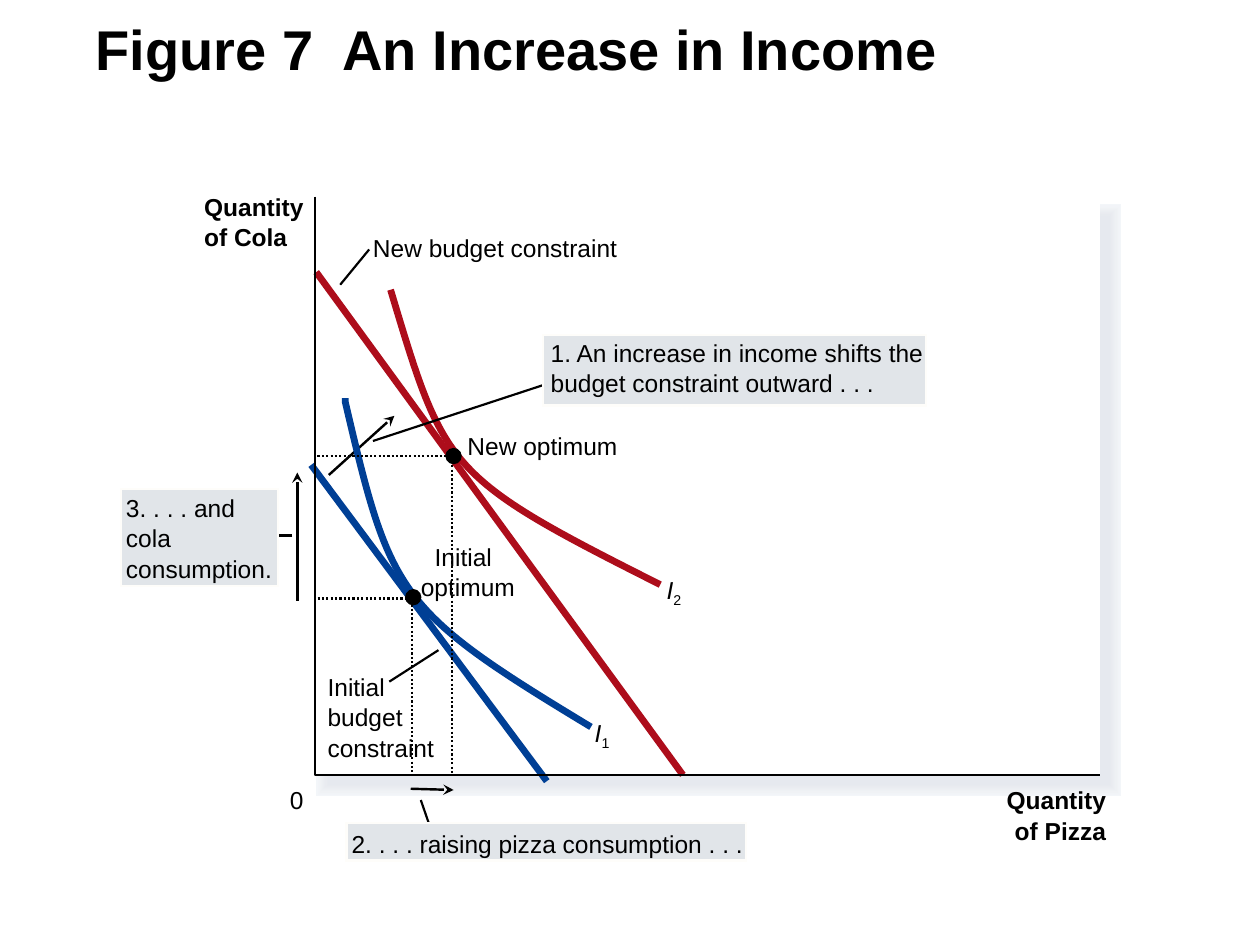
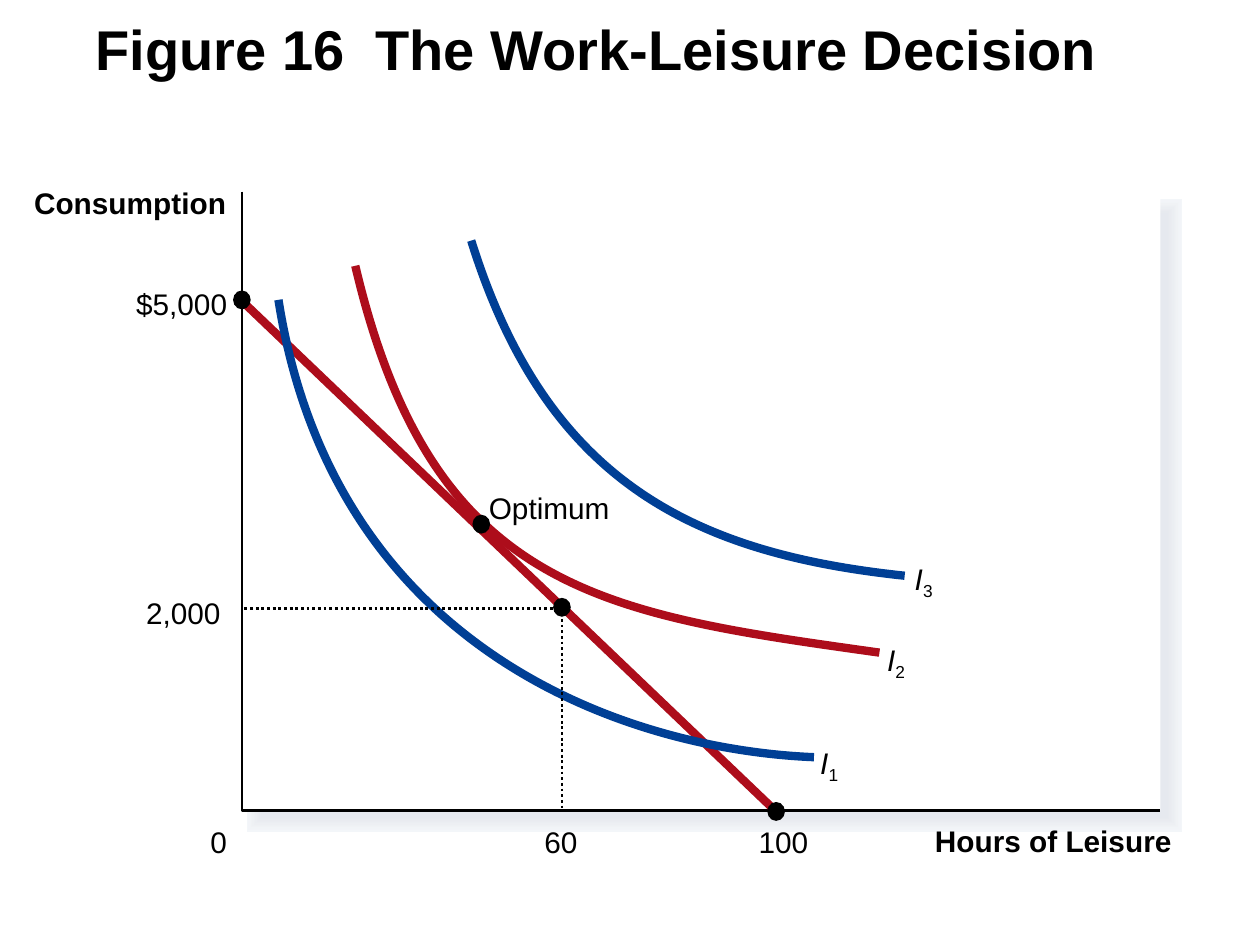
from lxml import etree
from pptx import Presentation
from pptx.dml.color import RGBColor
from pptx.enum.dml import MSO_LINE
from pptx.enum.shapes import MSO_CONNECTOR, MSO_SHAPE
from pptx.enum.text import MSO_ANCHOR, MSO_AUTO_SIZE, PP_ALIGN
from pptx.oxml.ns import qn
from pptx.util import Cm, Pt

RECTANGLE, OVAL = MSO_SHAPE.RECTANGLE, MSO_SHAPE.OVAL
STRAIGHT, DOTTED = MSO_CONNECTOR.STRAIGHT, MSO_LINE.ROUND_DOT
LEFT, RIGHT = PP_ALIGN.LEFT, PP_ALIGN.RIGHT

COLORS = {
    "ink": "000000", "paper": "FFFFFF", "blue": "003F95", "red": "AD0D1B",
    "callout": "E1E5E9", "callout edge": "FEFDFA",
}
GLOW = ["F3F6F9", "F2F4F8", "F1F4F7", "F0F2F5", "EEF1F4", "EDEFF3",
        "EBEEF2", "EAECF1", "E9EBF0", "E7EAEF", "E6E9EF"]
FONT = "Arial"
TITLE_BOX = (0.66, 0.06, 9, 0.75)
TITLE_FORMAT = {"name": FONT, "size": Pt(32), "bold": True}
CM_PER_INCH = 2.54
TEXT_SLACK = 0.08  # room beyond the text width, so that no line breaks

# Content: positions are in inches, parts are listed from back to front.
# text: left, top, width, lines, alignment, bold    callout: box, then text
# line and arrow: start, end                        curve: colour, Bezier points
FIGURES = [
    {
        "title": "Figure 7  An Increase in Income",
        "text size": 14, "thin": 1.25, "thick": 3.88, "dot": (0.13, 0.13),
        "plot": (2.5, 1.56, 6.23, 4.59),
        "glow": (2.61, 1.72, 6.19, 4.5), "glow width": 14.12,
        "parts": [
            ("budget", "blue", (2.47, 3.69), (4.34, 6.2)),
            ("budget", "red", (2.51, 2.16), (5.42, 6.15)),
            ("arrow", (2.36, 4.77), (2.36, 3.75)),
            ("arrow", (3.26, 6.26), (3.6, 6.27)),
            ("arrow", (2.61, 3.77), (3.13, 3.3)),
            ("text", 7.99, 6.23, 0.79, ["Quantity", "of Pizza"], RIGHT, True),
            ("text", 1.62, 1.52, 0.79, ["Quantity", "of Cola"], LEFT, True),
            ("text", 2.3, 6.23, 0.11, ["0"]),
            ("line", (2.93, 1.98), (2.7, 2.26)),
            ("text", 2.96, 1.85, 1.94, ["New budget constraint"]),
            ("curve", "blue", [(2.74, 3.16), (2.74, 3.18), (2.74, 3.18), (2.74, 3.19),
                               (3.1, 4.73), (3.15, 4.84), (4.69, 5.77)]),
            ("curve name", 4.72, 5.7, "1"),
            ("curve", "red", [(3.1, 2.3), (3.53, 3.73), (3.53, 3.78), (5.24, 4.64)]),
            ("curve name", 5.29, 4.56, "2"),
            ("line", (3.34, 6.35), (3.45, 6.67)),
            ("callout", (2.75, 6.53, 3.17, 0.3), 2.79, 6.58, 3.11,
             ["2. . . . raising pizza consumption . . ."]),
            ("line", (2.32, 4.25), (1.68, 4.25)),
            ("callout", (0.96, 3.88, 1.25, 0.77), 1.0, 3.91, 1.16,
             ["3. . . . and", "cola", "consumption."]),
            ("mask", (3.13, 5.79, 0.36, 0.23), "paper"),
            ("line", (3.09, 5.41), (3.48, 5.16)),
            ("text", 2.6, 5.33, 0.85, ["Initial", "budget", "constraint"]),
            ("line", (4.33, 3.05), (2.96, 3.5)),
            ("callout", (4.31, 2.66, 3.04, 0.56), 4.37, 2.68, 2.97,
             ["1. An increase in income shifts the",
              "budget constraint outward . . ."]),
            ("axes",),
            ("guide", 3.27, 4.75),
            ("dot", 3.28, 4.74),
            ("mask", (3.58, 4.3, 0.18, 0.5), "paper"),
            ("text", 3.45, 4.3, 0.46, ["Initial"]),
            ("text", 3.34, 4.54, 0.75, ["optimum"]),
            ("text", 3.71, 3.42, 1.19, ["New optimum"]),
            ("guide", 3.59, 3.62),
            ("dot", 3.6, 3.62),
        ],
    },
    {
        "title": "Figure 16  The Work-Leisure Decision",
        "text size": 17, "thin": 1.62, "thick": 4.75, "dot": (0.14, 0.15),
        "plot": (1.92, 1.52, 7.29, 4.91),
        "glow": (2.08, 1.7, 7.18, 4.78), "glow width": 17.38,
        "parts": [
            ("axes",),
            ("text", 7.42, 6.53, 1.88, ["Hours of Leisure"], LEFT, True),
            ("text", 1.67, 6.54, 0.13, ["0"]),
            ("text", 0.27, 1.47, 1.53, ["Consumption"], LEFT, True),
            ("budget", "red", (1.88, 2.35), (6.19, 6.47)),
            ("dot", 6.16, 6.44),
            ("dot", 1.92, 2.38),
            ("text", 1.08, 2.27, 0.72, ["$5,000"]),
            ("text", 6.02, 6.54, 0.4, ["100"]),
            ("curve", "blue", [(3.74, 1.91), (4.33, 3.8), (5.47, 4.39), (7.18, 4.57)]),
            ("curve name", 7.26, 4.45, "3"),
            ("curve", "red", [(2.82, 2.11), (3.43, 4.7), (4.77, 4.87), (6.98, 5.18)]),
            ("curve name", 7.04, 5.09, "2"),
            ("curve", "blue", [(2.21, 2.38), (2.65, 5.18), (4.99, 5.95), (6.46, 6.01)]),
            ("curve name", 6.51, 5.91, "1"),
            ("dot", 3.82, 4.16),
            ("text", 3.88, 3.89, 0.96, ["Optimum"]),
            ("guide", 4.46, 4.83),
            ("dot", 4.46, 4.82),
            ("text", 1.16, 4.72, 0.59, ["2,000"]),
            ("text", 4.32, 6.54, 0.26, ["60"]),
        ],
    },
]


def lengths(*inches):
    return [Cm(value * CM_PER_INCH) for value in inches]


def rgb(color):
    return RGBColor.from_string(COLORS.get(color, color))


def apply_format(target, values):
    for name, value in values.items():
        setattr(target, name, value)


def set_line(line, color, width):
    line.color.rgb = rgb(color)
    line.width = Pt(width)


def add_line_detail(line, tag, **attributes):
    etree.SubElement(line._get_or_add_ln(), qn(tag), **attributes)


class FigureSlide:
    def __init__(self, slide, figure):
        self.shapes, self.figure = slide.shapes, figure
        self.add_title()
        self.add_glow()
        drawers = {
            "axes": self.add_axes, "budget": self.add_budget, "line": self.add_line,
            "arrow": self.add_arrow, "curve": self.add_curve, "text": self.add_text,
            "curve name": self.add_curve_name, "callout": self.add_callout,
            "guide": self.add_guide, "dot": self.add_dot, "mask": self.add_rectangle,
        }
        for kind, *values in figure["parts"]:
            drawers[kind](*values)

    def add_title(self):
        title = self.shapes.title
        apply_format(title, dict(zip(("left", "top", "width", "height"),
                                     lengths(*TITLE_BOX))))
        frame = title.text_frame
        frame.text = self.figure["title"]
        apply_format(frame, {"vertical_anchor": MSO_ANCHOR.MIDDLE, "word_wrap": True,
                             "auto_size": MSO_AUTO_SIZE.NONE})
        paragraph = frame.paragraphs[0]
        apply_format(paragraph, {"alignment": LEFT, "line_spacing": 0.8})
        apply_format(paragraph.runs[0].font, TITLE_FORMAT)
        paragraph.runs[0].font.color.rgb = rgb("ink")

    # Filled shapes
    def add_filled(self, preset, box, fill, edge=None, edge_width=0):
        shape = self.shapes.add_shape(preset, *lengths(*box))
        shape.shadow.inherit = False
        shape.fill.solid()
        shape.fill.fore_color.rgb = rgb(fill)
        if edge:
            set_line(shape.line, edge, edge_width)
            add_line_detail(shape.line, "a:miter", lim="800000")
        else:
            shape.line.fill.background()

    def add_rectangle(self, box, *colors_and_width):
        self.add_filled(RECTANGLE, box, *colors_and_width)

    def add_glow(self):
        step = self.figure["glow width"] / len(GLOW)
        for index, color in enumerate(GLOW):
            self.add_rectangle(self.figure["glow"], color, color,
                               step * (len(GLOW) - index))
        self.add_rectangle(self.figure["plot"], "paper")

    def add_dot(self, center_x, center_y):
        width, height = self.figure["dot"]
        box = (center_x - width / 2, center_y - height / 2, width, height)
        self.add_filled(OVAL, box, "ink")

    # Straight lines
    def add_line(self, start, end, color="ink", width=1.25):
        connector = self.shapes.add_connector(STRAIGHT, *lengths(*start, *end))
        set_line(connector.line, color, width)
        etree.SubElement(connector._element.spPr, qn("a:effectLst"))
        return connector

    def add_budget(self, color, start, end):
        self.add_line(start, end, color, self.figure["thick"])

    def add_arrow(self, start, end):
        connector = self.add_line(start, end, width=1.39)
        add_line_detail(connector.line, "a:tailEnd", type="stealth")

    # Open outlines
    def add_outline(self, points, color, width):
        start, *others = [lengths(*point) for point in points]
        builder = self.shapes.build_freeform(*start)
        builder.add_line_segments(others, close=False)
        shape = builder.convert_to_shape()
        shape.shadow.inherit = False
        shape.fill.background()
        set_line(shape.line, color, width)
        return shape

    def origin(self):
        left, top, _, height = self.figure["plot"]
        return left, top + height

    def add_axes(self):
        left, top, width, _ = self.figure["plot"]
        bottom = self.origin()[1]
        self.add_outline([(left, top), (left, bottom), (left + width, bottom)],
                         "ink", self.figure["thin"])

    def add_guide(self, x, y):
        left, bottom = self.origin()
        guide = self.add_outline([(left + 0.02, y), (x, y), (x, bottom)],
                                 "ink", self.figure["thin"])
        guide.line.dash_style = DOTTED

    def add_curve(self, color, points):
        shape = self.add_outline(points, color, self.figure["thick"])
        # Each three straight segments become one Bezier segment
        path = next(shape._element.iter(qn("a:path")))
        segments = path.findall(qn("a:lnTo"))
        for first in range(0, len(segments), 3):
            bezier = etree.SubElement(path, qn("a:cubicBezTo"))
            for segment in segments[first:first + 3]:
                bezier.append(segment[0])
                path.remove(segment)

    # Text
    def add_text(self, left, top, width, lines, alignment=LEFT, bold=False):
        size = self.figure["text size"]
        height = len(lines) * size * 1.2 / 72
        if alignment == RIGHT:
            left -= TEXT_SLACK
        box = self.shapes.add_textbox(*lengths(left, top, width + TEXT_SLACK, height))
        frame = box.text_frame
        apply_format(frame, {"margin_left": 0, "margin_top": 0, "margin_right": 0,
                             "margin_bottom": 0, "word_wrap": False,
                             "auto_size": MSO_AUTO_SIZE.NONE})
        for index, line in enumerate(lines):
            paragraph = frame.add_paragraph() if index else frame.paragraphs[0]
            paragraph.alignment = alignment
            paragraph.space_before = Pt(0.7 if index else 0)
            self.add_run(paragraph, line, bold=bold)
        return frame.paragraphs[0]

    def add_run(self, paragraph, text, **styles):
        run = paragraph.add_run()
        run.text = text
        apply_format(run.font, {"name": FONT, "size": Pt(self.figure["text size"]),
                                **styles})
        run.font.color.rgb = rgb("ink")
        return run

    def add_curve_name(self, left, top, number):
        paragraph = self.add_text(left, top, 0.14, ["I"])
        paragraph.runs[0].font.italic = True
        subscript = self.add_run(paragraph, number)
        subscript._r.get_or_add_rPr().set("baseline", "-25000")

    def add_callout(self, box, left, top, width, lines):
        self.add_rectangle(box, "callout", "callout edge", 1.25)
        self.add_text(left, top, width, lines)


def main():
    presentation = Presentation()
    presentation.slide_width, presentation.slide_height = lengths(10, 7.5)
    title_only = presentation.slide_layouts[5]
    for figure in FIGURES:
        FigureSlide(presentation.slides.add_slide(title_only), figure)
    presentation.save("out.pptx")


if __name__ == "__main__":
    main()
